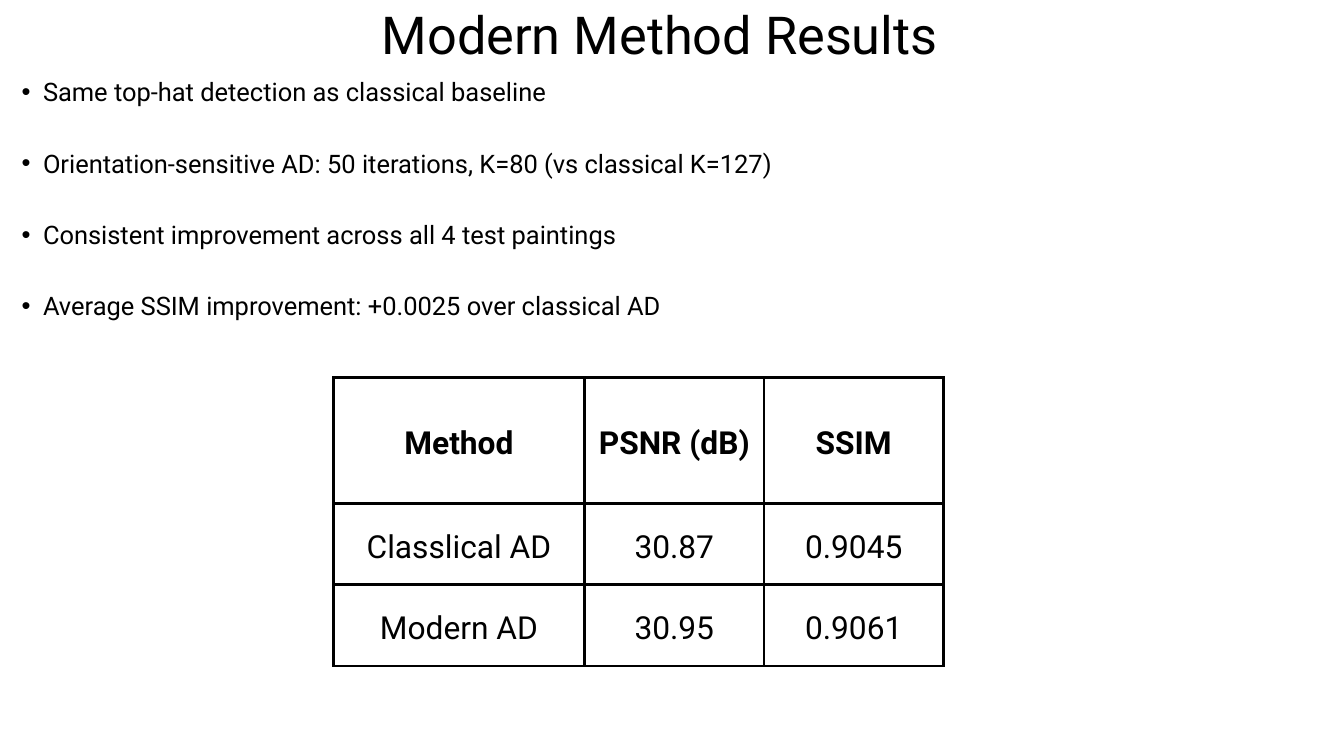
from dataclasses import dataclass

from lxml import etree
from pptx import Presentation
from pptx.dml.color import RGBColor
from pptx.enum.text import MSO_ANCHOR, MSO_AUTO_SIZE, PP_ALIGN
from pptx.oxml.ns import qn
from pptx.util import Inches, Pt

TOP, MIDDLE = MSO_ANCHOR.TOP, MSO_ANCHOR.MIDDLE
CENTER, JUSTIFY = PP_ALIGN.CENTER, PP_ALIGN.JUSTIFY
NO_AUTOFIT = MSO_AUTO_SIZE.NONE
TITLE_AND_CONTENT = 1


@dataclass(frozen=True)
class Theme:
    font: str = "Roboto"
    ink: str = "000000"
    paper: str = "FFFFFF"
    title_size: float = 56
    body_size: float = 27.3
    table_size: float = 34
    leading: float = 1.4
    border_width: float = 3


THEME = Theme()

BULLETS = [
    "Same top-hat detection as classical baseline",
    "Orientation-sensitive AD: 50 iterations, K=80 (vs classical K=127)",
    "Consistent improvement across all 4 test paintings",
    "Average SSIM improvement: +0.0025 over classical AD",
]
RESULTS = [
    ["Method", "PSNR (dB)", "SSIM"],
    ["Classlical AD", "30.87", "0.9045"],
    ["Modern AD", "30.95", "0.9061"],
]
COLUMN_WIDTHS = [3.74, 2.67, 2.67]
ROW_HEIGHTS = [1.87, 1.21, 1.21]


def format_paragraph(paragraph, size, alignment, bold=False):
    paragraph.alignment = alignment
    paragraph.line_spacing = Pt(size * THEME.leading)
    paragraph.space_before = Pt(0)
    for run in paragraph.runs:
        run.font.name = THEME.font
        run.font.size = Pt(size)
        run.font.bold = bold
        run.font.color.rgb = RGBColor.from_string(THEME.ink)


def place_placeholder(shape, box):
    shape.left, shape.top, shape.width, shape.height = map(Inches, box)
    frame = shape.text_frame
    frame.margin_left = frame.margin_right = Inches(0)
    frame.margin_top = frame.margin_bottom = Inches(0)
    frame.vertical_anchor = TOP
    frame.word_wrap = True
    frame.auto_size = NO_AUTOFIT
    return frame


def add_bullet(paragraph, indent, hanging):
    properties = paragraph._p.get_or_add_pPr()
    properties.set("marL", str(Inches(indent)))
    properties.set("indent", str(-Inches(hanging)))
    etree.SubElement(properties, qn("a:buFont"), typeface="Arial")
    etree.SubElement(properties, qn("a:buChar"), char="•")


def fill_title(slide, box):
    frame = place_placeholder(slide.shapes.title, box)
    frame.text = "Modern Method Results"
    format_paragraph(frame.paragraphs[0], THEME.title_size, CENTER)


def fill_bullets(slide, box):
    frame = place_placeholder(slide.placeholders[1], box)
    frame.text = "\n".join(BULLETS)
    for paragraph in frame.paragraphs:
        format_paragraph(paragraph, THEME.body_size, JUSTIFY)
        # One free line between bullets
        paragraph.space_after = Pt(THEME.body_size * THEME.leading)
        add_bullet(paragraph, indent=0.64, hanging=0.32)


def add_borders(cell):
    properties = cell._tc.get_or_add_tcPr()
    # Border lines come before the fill in the cell properties
    for position, side in enumerate(("a:lnL", "a:lnR", "a:lnT", "a:lnB")):
        line = etree.Element(qn(side), w=str(Pt(THEME.border_width)))
        fill = etree.SubElement(line, qn("a:solidFill"))
        etree.SubElement(fill, qn("a:srgbClr"), val=THEME.ink)
        properties.insert(position, line)


def add_results_table(slide, box):
    frame = slide.shapes.add_table(len(RESULTS), len(RESULTS[0]), *map(Inches, box))
    table = frame.table
    table.horz_banding = False
    for column, width in zip(table.columns, COLUMN_WIDTHS):
        column.width = Inches(width)
    for row_index, (row, height) in enumerate(zip(table.rows, ROW_HEIGHTS)):
        row.height = Inches(height)
        for cell, value in zip(row.cells, RESULTS[row_index]):
            cell.text = value
            cell.vertical_anchor = MIDDLE
            cell.margin_left = cell.margin_right = Inches(0.21)
            cell.margin_top = cell.margin_bottom = Inches(0.21)
            cell.fill.solid()
            cell.fill.fore_color.rgb = RGBColor.from_string(THEME.paper)
            add_borders(cell)
            format_paragraph(cell.text_frame.paragraphs[0], THEME.table_size,
                             CENTER, bold=row_index == 0)


def main():
    presentation = Presentation()
    presentation.slide_width = Inches(20)
    presentation.slide_height = Inches(11.25)
    slide = presentation.slides.add_slide(presentation.slide_layouts[TITLE_AND_CONTENT])

    # Boxes: left, top, width, height
    add_results_table(slide, (4.96, 5.62, sum(COLUMN_WIDTHS), sum(ROW_HEIGHTS)))
    fill_title(slide, (5.32, -0.12, 9, 1.05))
    fill_bullets(slide, (0, 1.06, 13.63, 4.15))
    presentation.save("out.pptx")


if __name__ == "__main__":
    main()
